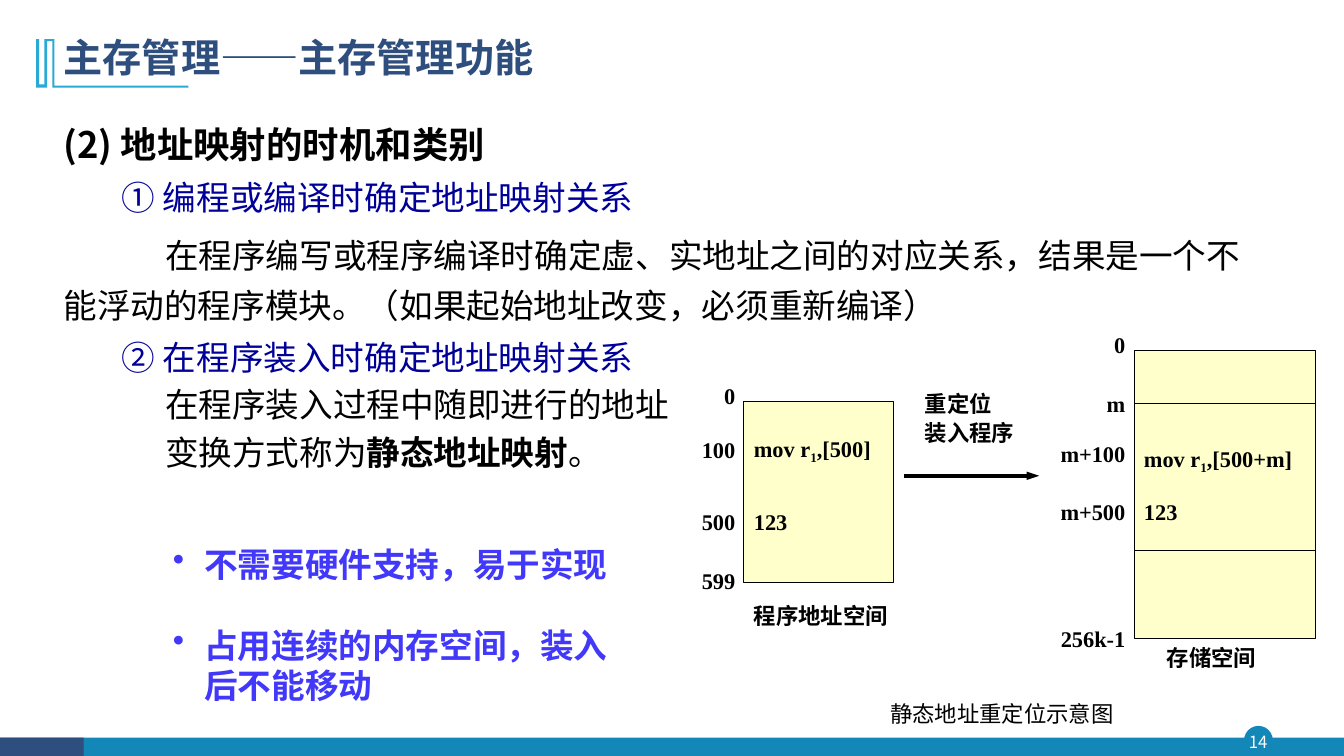
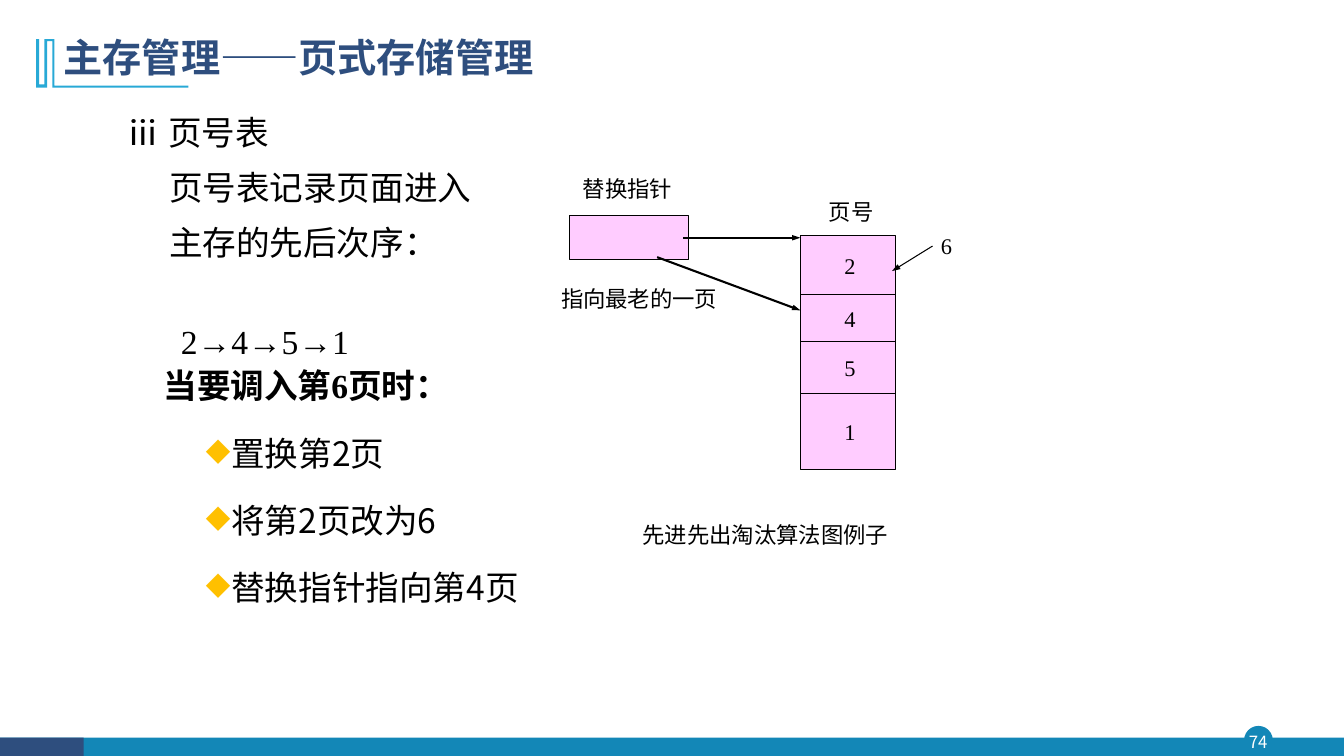
from dataclasses import dataclass

from lxml import etree
from pptx import Presentation
from pptx.dml.color import RGBColor
from pptx.enum.shapes import MSO_CONNECTOR, MSO_SHAPE
from pptx.enum.text import MSO_ANCHOR, MSO_AUTO_SIZE, PP_ALIGN
from pptx.oxml.ns import qn
from pptx.util import Cm, Pt

RECT, OVAL = MSO_SHAPE.RECTANGLE, MSO_SHAPE.OVAL
STRAIGHT = MSO_CONNECTOR.STRAIGHT
LEFT, CENTER, RIGHT = PP_ALIGN.LEFT, PP_ALIGN.CENTER, PP_ALIGN.RIGHT
TOP, MIDDLE = MSO_ANCHOR.TOP, MSO_ANCHOR.MIDDLE


@dataclass(frozen=True)
class Theme:
    sans: str = "Noto Sans CJK SC"
    serif: str = "Times New Roman"
    navy: str = "2E4E7E"
    teal: str = "1387B7"
    sky: str = "28A9D6"
    ink: str = "000000"
    white: str = "FFFFFF"
    item: str = "000099"
    accent: str = "4138FA"
    gold: str = "FFC000"
    cream: str = "FFFFCC"
    pink: str = "FFCCFF"
    title: int = 28
    head: int = 26
    body: int = 24
    label: int = 16
    number: int = 12


T = Theme()
WIDTH, HEIGHT = 33.87, 19.05
LABEL_H = 0.9
INSET = (0.25, 0.13)


# ---- text ----
def add_run(p, value, font=T.sans, size=T.body, color=T.ink, bold=False, base=0):
    r = p.add_run()
    r.text = value
    r.font.name, r.font.size, r.font.bold = font, Pt(size), bold
    r.font.color.rgb = RGBColor.from_string(color)
    rpr = r._r.get_or_add_rPr()
    etree.SubElement(rpr, qn("a:ea")).set("typeface", T.sans)
    if base:
        rpr.set("baseline", str(base * 1000))


def add_bullet(ppr, char, color, percent):
    clr = etree.SubElement(ppr, qn("a:buClr"))
    etree.SubElement(clr, qn("a:srgbClr")).set("val", color)
    etree.SubElement(ppr, qn("a:buSzPct")).set("val", str(percent * 1000))
    etree.SubElement(ppr, qn("a:buChar")).set("char", char)


def fill_paragraph(p, runs, align=LEFT, line=None, before=0, margin=0, indent=0,
                   bullet=None, **font):
    ppr = p._p.get_or_add_pPr()
    ppr.set("marL", str(Cm(margin)))
    ppr.set("indent", str(Cm(indent)))
    if bullet:
        add_bullet(ppr, *bullet)
    p.alignment = align
    if line:
        p.line_spacing = Pt(line)
    if before:
        p.space_before = Pt(before)
    for value, extra in [(runs, {})] if isinstance(runs, str) else runs:
        add_run(p, value, **{**font, **extra})


def text(s, box, paras, anchor=TOP, inset=(0, 0), wrap=True, **fmt):
    """Add a text box; each paragraph is (runs, format) and fmt is the default."""
    sp = s.shapes.add_textbox(*map(Cm, box))
    tf = sp.text_frame
    tf.word_wrap, tf.vertical_anchor = wrap, anchor
    tf.margin_left = tf.margin_right = Cm(inset[0])
    tf.margin_top = tf.margin_bottom = Cm(inset[1])
    for i, (runs, extra) in enumerate(paras):
        p = tf.add_paragraph() if i else tf.paragraphs[0]
        fill_paragraph(p, runs, **{**fmt, **extra})
    return sp


def label(s, x, y, runs, align=LEFT, width=5, **fmt):
    """One line of text, centred on y and aligned to x."""
    left = x - {LEFT: 0, CENTER: width / 2, RIGHT: width}[align]
    text(s, (left, y - LABEL_H / 2, width, LABEL_H), [(runs, {})], anchor=MIDDLE,
         align=align, **{"font": T.serif, "size": T.label, **fmt})


# ---- shapes ----
def paint(sp, fill, line=None, weight=0.75):
    sp.shadow.inherit = False
    sp.fill.solid()
    sp.fill.fore_color.rgb = RGBColor.from_string(fill)
    if line:
        sp.line.color.rgb = RGBColor.from_string(line)
        sp.line.width = Pt(weight)
    else:
        sp.line.fill.background()
    return sp


def block(s, kind, box, fill, line=None, weight=0.75):
    return paint(s.shapes.add_shape(kind, *map(Cm, box)), fill, line, weight)


def line(s, x1, y1, x2, y2, weight=0.75, arrow=False):
    c = s.shapes.add_connector(STRAIGHT, *map(Cm, (x1, y1, x2, y2)))
    c.line.color.rgb = RGBColor.from_string(T.ink)
    c.line.width = Pt(weight)
    if arrow:
        end = etree.SubElement(c.line._get_or_add_ln(), qn("a:tailEnd"))
        end.set("type", "triangle")
        end.set("w", "sm")
    etree.SubElement(c.element.spPr, qn("a:effectLst"))


# ---- shared parts ----
def title_mark(s):
    points = [(1.37, 0.99), (1.37, 2.16), (4.75, 2.16), (4.75, 2.21), (1.32, 2.21),
              (1.32, 1.04), (1.19, 1.04), (1.19, 2.21), (0.91, 2.21), (0.91, 0.99),
              (0.99, 0.99), (0.99, 2.13), (1.12, 2.13), (1.12, 0.99)]
    first, *rest = [(Cm(x), Cm(y)) for x, y in points]
    fb = s.shapes.build_freeform(*first, scale=1.0)
    fb.add_line_segments(rest, close=True)
    return paint(fb.convert_to_shape(), T.sky)


def dress_layout(layout, s):
    """Draw the shared bands and mark, then move them to the layout."""
    top = 18.59
    parts = [
        block(s, OVAL, (31.37, 18.31, 0.69, 0.69), T.teal, T.teal, 1),
        block(s, RECT, (0, top, WIDTH, HEIGHT - top), T.teal),
        block(s, RECT, (0, top, 2.11, HEIGHT - top), T.navy),
        title_mark(s),
    ]
    for sp in parts:
        layout.shapes.element.append(sp.element)


def set_title(s, value, number):
    sp = s.shapes.title
    sp.left, sp.top, sp.width, sp.height = map(Cm, (1.35, 0.71, 26.64, 1.42))
    tf = sp.text_frame
    tf.word_wrap, tf.auto_size = True, MSO_AUTO_SIZE.NONE
    tf.vertical_anchor = MIDDLE
    fill_paragraph(tf.paragraphs[0], value, size=T.title, color=T.navy, bold=True)
    label(s, 31.71, 18.7, str(number), CENTER, 0.81, font=T.sans, size=T.number,
          color=T.white)


# ---- slide 1 ----
def mapping_text(s, left, top):
    item = dict(margin=1.47, color=T.item)
    text(s, (left, top, 30.7, 9.3), [
        ("(2) 地址映射的时机和类别", dict(size=T.head, bold=True)),
        ("① 编程或编译时确定地址映射关系", dict(item, before=3)),
        ("在程序编写或程序编译时确定虚、实地址之间的对应关系，结果是一个不"
         "能浮动的程序模块。（如果起始地址改变，必须重新编译）",
         dict(indent=2.56, line=36, before=5.5)),
        ("② 在程序装入时确定地址映射关系", dict(item, before=2.5)),
        ("在程序装入过程中随即进行的地址", dict(margin=2.56)),
        ([("变换方式称为", {}), ("静态地址映射", dict(bold=True)), ("。", {})],
         dict(margin=2.56)),
    ], inset=INSET, line=34)


def mapping_points(s, left, top):
    text(s, (left, top, 12.12, 4), [
        ("不需要硬件支持，易于实现", {}),
        ("占用连续的内存空间，装入后不能移动", dict(before=29)),
    ], inset=INSET, line=29, margin=0.79, indent=-0.79, bullet=("•", T.accent, 100),
        color=T.accent, bold=True)


def memory(s, box, addresses, contents, caption, dividers=()):
    """A memory block; all offsets are measured from its top left corner."""
    left, top, width, _ = box
    block(s, RECT, box, T.cream, T.ink)
    for dy in dividers:
        line(s, left, top + dy, left + width, top + dy)
    for dy, value in addresses:
        label(s, left - 0.22, top + dy, value, RIGHT, bold=True)
    for dy, runs in contents:
        label(s, left + 0.25, top + dy, runs, bold=True)
    dx, dy, value = caption
    label(s, left + dx, top + dy, value, bold=True)


def move_code(operand):
    return [("mov r", {}), ("1", dict(base=-25)), (f",[{operand}]", {})]


def relocation_diagram(s, left, top):
    memory(s, (left, top + 1.29, 3.78, 4.55),
           [(-0.15, "0"), (1.21, "100"), (3.02, "500"), (4.49, "599")],
           [(1.21, move_code("500")), (3.02, "123")],
           (0.25, 5.39, "程序地址空间"))
    memory(s, (left + 9.83, top, 4.57, 7.26),
           [(-0.15, "0"), (1.32, "m"), (2.6, "m+100"), (4.06, "m+500"),
            (7.24, "256k-1")],
           [(2.75, move_code("500+m")), (4.06, "123")],
           (0.83, 7.72, "存储空间"), dividers=(1.32, 5.03))
    for i, value in enumerate(("重定位", "装入程序")):
        label(s, left + 4.56, top + 1.34 + 0.71 * i, value, bold=True)
    line(s, left + 4.03, top + 3.15, left + 7.44, top + 3.15, 3, arrow=True)
    label(s, left + 6.5, top + 9.13, "静态地址重定位示意图", CENTER, 8)


def mapping_slide(s):
    set_title(s, "主存管理——主存管理功能", 14)
    mapping_text(s, 1.35, 2.84)
    mapping_points(s, 4.11, 13.56)
    relocation_diagram(s, 18.75, 8.84)


# ---- slide 2 ----
def page_table_text(s, left, top):
    text(s, (left, top, 11.38, 6.8), [
        ("ⅲ 页号表", dict(margin=1.6)),
        ("页号表记录页面进入", {}),
        ("主存的先后次序：", {}),
        ("2→4→5→1", dict(margin=2.96, before=32, font=T.serif)),
    ], inset=INSET, line=39, margin=2.66)


def replacement_steps(s, left, top):
    step = dict(margin=3.68, indent=-0.64, bullet=("◆", T.gold, 95))
    steps = ["置换第2页", "将第2页改为6", "替换指针指向第4页"]
    heading = ("当要调入第6页时：", dict(margin=1.97, font=T.serif, bold=True))
    text(s, (left, top, 13.51, 7.1), [heading] + [(value, step) for value in steps],
         inset=INSET, line=48)


def fifo_diagram(s, left, top):
    # replacement pointer
    block(s, RECT, (left, top, 3, 1.09), T.pink, T.ink)
    label(s, left + 0.34, top - 0.68, "替换指针", font=T.sans)
    label(s, left - 0.21, top + 2.09, "指向最老的一页", font=T.sans)

    # page column
    x, y, width = left + 5.82, top + 0.5, 2.4
    edges = (0, 1.48, 2.67, 3.97, 5.9)
    block(s, RECT, (x, y, width, edges[-1]), T.pink, T.ink)
    label(s, x + width / 2 + 0.08, y - 0.62, "页号", CENTER, font=T.sans)
    for page, upper, lower in zip("2451", edges, edges[1:]):
        label(s, x + width / 2 + 0.05, y + (upper + lower) / 2, page, CENTER, width)
        if upper:
            line(s, x, y + upper, x + width, y + upper)

    # arrows and incoming page
    line(s, left + 2.87, top + 0.55, x, top + 0.55, 1.5, arrow=True)
    line(s, left + 2.21, top + 1.04, x, top + 2.38, 1.5, arrow=True)
    line(s, x + 3.33, y + 0.26, x + 2.31, y + 0.89, arrow=True)
    label(s, x + 3.54, y + 0.26, "6", width=1)
    label(s, left + 4.94, top + 8.04, "先进先出淘汰算法图例子", CENTER, 8)


def paging_slide(s):
    set_title(s, "主存管理——页式存储管理", 74)
    page_table_text(s, 1.35, 2.34)
    replacement_steps(s, 1.9, 8.4)
    fifo_diagram(s, 14.35, 5.44)


def main():
    prs = Presentation()
    prs.slide_width, prs.slide_height = Cm(WIDTH), Cm(HEIGHT)
    layout = prs.slide_layouts.get_by_name("Title Only")
    for i, build in enumerate((mapping_slide, paging_slide)):
        s = prs.slides.add_slide(layout)
        if i == 0:
            dress_layout(layout, s)
        build(s)
    prs.save("out.pptx")


if __name__ == "__main__":
    main()
